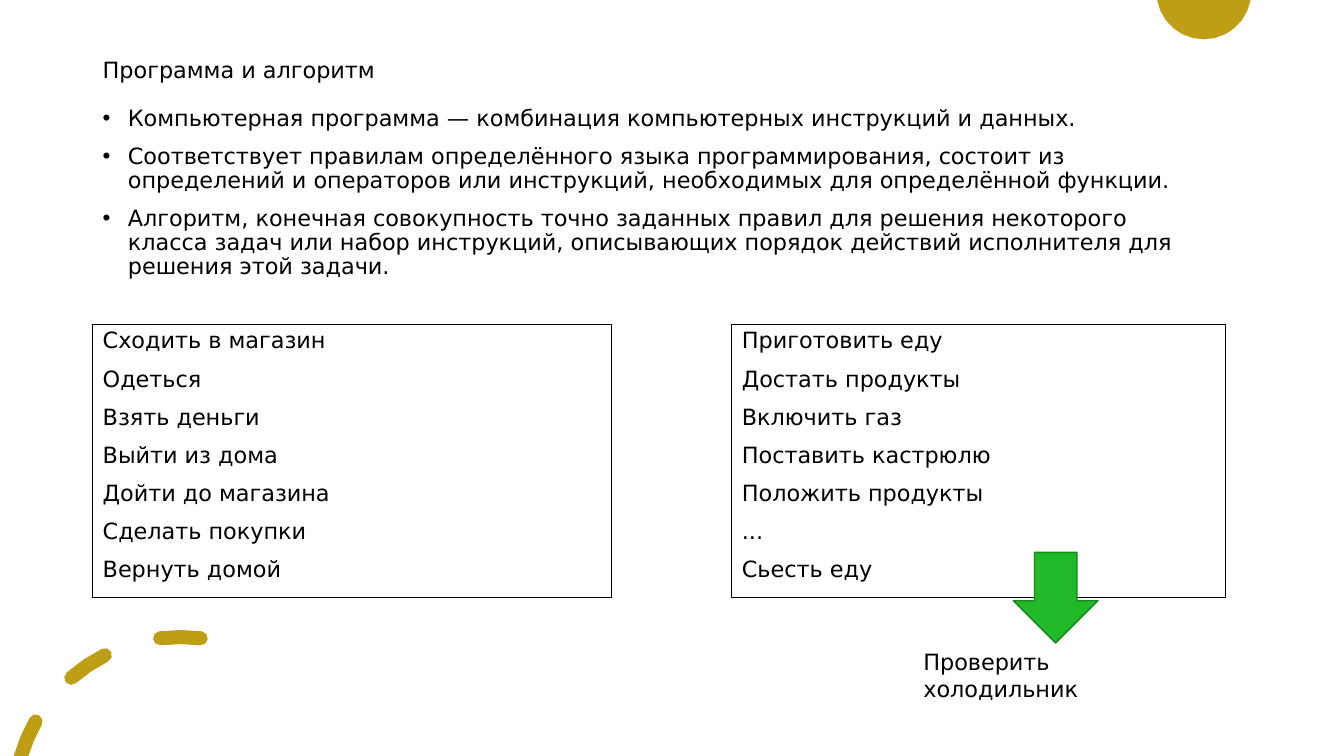
from dataclasses import dataclass
from math import acos, cos, degrees, radians, sin

from lxml.etree import SubElement
from pptx import Presentation
from pptx.dml.color import RGBColor as RGB
from pptx.enum.shapes import MSO_SHAPE as SHAPE
from pptx.enum.text import MSO_ANCHOR as ANCHOR, PP_ALIGN as ALIGN
from pptx.oxml.ns import qn
from pptx.util import Pt

PX = 9144  # EMU per px, 100 px to the inch
SLIDE_W, SLIDE_H = 1333, 750


@dataclass(frozen=True)
class Theme:
    font: str = "DejaVu Sans"
    bullet_font: str = "Arial"
    size: int = 16
    ink: str = "000000"
    gold: str = "BE9E15"
    green: str = "21B92A"
    green_edge: str = "18891F"


THEME = Theme()
LIST_FORMAT = {"line_spacing": 0.9, "space_before": Pt(10)}

TITLE = "Программа и алгоритм"
DEFINITIONS = [
    "Компьютерная программа — комбинация компьютерных инструкций и данных.",
    "Соответствует правилам определённого языка программирования, состоит из "
    "определений и операторов или инструкций, необходимых для определённой функции.",
    "Алгоритм, конечная совокупность точно заданных правил для решения некоторого "
    "класса задач или набор инструкций, описывающих порядок действий исполнителя "
    "для решения этой задачи.",
]
SHOP_STEPS = ["Сходить в магазин", "Одеться", "Взять деньги", "Выйти из дома",
              "Дойти до магазина", "Сделать покупки", "Вернуть домой"]
COOK_STEPS = ["Приготовить еду", "Достать продукты", "Включить газ",
              "Поставить кастрюлю", "Положить продукты", "...", "Сьесть еду"]
CHECK = "Проверить холодильник"


def emu(*lengths):
    return [round(v * PX) for v in lengths]


def paint(sp, fill=None, line=None, width=0.75):
    sp.shadow.inherit = False
    for part, color in ((sp.fill, fill), (sp.line.fill, line)):
        if color:
            part.solid()
            part.fore_color.rgb = RGB.from_string(color)
        else:
            part.background()
    if line:
        sp.line.width = Pt(width)


def add_bullet(p):
    pPr = p._p.get_or_add_pPr()
    indent, = emu(25)
    pPr.set("marL", str(indent))
    pPr.set("indent", str(-indent))
    SubElement(pPr, qn("a:buFont")).set("typeface", THEME.bullet_font)
    SubElement(pPr, qn("a:buChar")).set("char", "•")


def write(sp, texts, anchor=ANCHOR.TOP, bullet=False, **para_format):
    tf = sp.text_frame
    tf.word_wrap = True
    tf.vertical_anchor = anchor
    for i, text in enumerate(texts):
        p = tf.paragraphs[0] if i == 0 else tf.add_paragraph()
        for name, value in {"alignment": ALIGN.LEFT, **para_format}.items():
            setattr(p, name, value)
        r = p.add_run()
        r.text = text
        for name, value in {"name": THEME.font, "size": Pt(THEME.size)}.items():
            setattr(r.font, name, value)
        r.font.color.rgb = RGB.from_string(THEME.ink)
        if bullet:
            add_bullet(p)


def text_block(s, box, texts, **options):
    write(s.shapes.add_textbox(*emu(*box)), texts, **options)


def steps_box(s, box, steps):
    sp = s.shapes.add_shape(SHAPE.RECTANGLE, *emu(*box))
    paint(sp, line=THEME.ink)
    write(sp, steps, **LIST_FORMAT)


def arc(cx, cy, radius, start, end, count):
    """Points on an arc; degrees run clockwise from the top."""
    angles = [radians(start + (end - start) * i / count) for i in range(count + 1)]
    return [(cx + radius * sin(a), cy - radius * cos(a)) for a in angles]


def outline(s, contours, color):
    contours = [[emu(*point) for point in c] for c in contours]
    builder = s.shapes.build_freeform(*contours[0][0], scale=1.0)
    for i, points in enumerate(contours):
        if i:
            builder.move_to(*points[0])
        builder.add_line_segments(points[1:], close=True)
    paint(builder.convert_to_shape(), fill=color)


def corner_disc(s, cx, cy, radius):
    # Only the part below the top edge of the slide
    edge = degrees(acos(cy / radius))
    outline(s, [arc(cx, cy, radius, edge, 360 - edge, 12)], THEME.gold)


def dashed_ring(s, cx, cy, radius, thickness, dashes):
    half = thickness / 2
    outer, inner = radius + half, radius - half

    def cut(r):  # angle at which the ring meets the bottom edge
        return -degrees(acos((cy - SLIDE_H) / r))

    def cap(angle, turn):  # round end, without the points shared with the sides
        tip = arc(cx, cy, radius, angle, angle, 1)[0]
        return arc(*tip, half, turn, turn + 180, 4)[1:-1]

    contours = []
    for start, end in dashes:
        points = arc(cx, cy, outer, max(start, cut(outer)), end, 2)
        points += cap(end, end)
        points += arc(cx, cy, inner, end, max(start, cut(inner)), 2)
        if start > cut(radius):
            points += cap(start, start + 180)
        contours.append(points)
    outline(s, contours, THEME.gold)


def down_arrow(s, box):
    sp = s.shapes.add_shape(SHAPE.RIGHT_ARROW, *emu(*box))
    sp.rotation = 90
    paint(sp, THEME.green, THEME.green_edge, 1)


def algorithm_slide(prs):
    s = prs.slides.add_slide(prs.slide_layouts[6])
    # Corner decoration
    corner_disc(s, 1194, -8, 47)
    dashed_ring(s, 179, 797, 165, 14, [(-90, -60.5), (-41, -27), (-7, 7)])
    # Heading and definitions
    text_block(s, (92, 40, 1139, 61), [TITLE], anchor=ANCHOR.MIDDLE, line_spacing=0.9)
    text_block(s, (92, 101, 1119, 207), DEFINITIONS, bullet=True, **LIST_FORMAT)
    # Two example algorithms
    for left, width, steps in ((92, 515, SHOP_STEPS), (726, 490, COOK_STEPS)):
        steps_box(s, (left, 322, width, 271), steps)
    # Follow-up step
    down_arrow(s, (1002, 551, 90, 84))
    text_block(s, (906, 638, 303, 37), [CHECK])


def main():
    prs = Presentation()
    prs.slide_width, prs.slide_height = emu(SLIDE_W, SLIDE_H)
    algorithm_slide(prs)
    prs.save("out.pptx")


if __name__ == "__main__":
    main()
